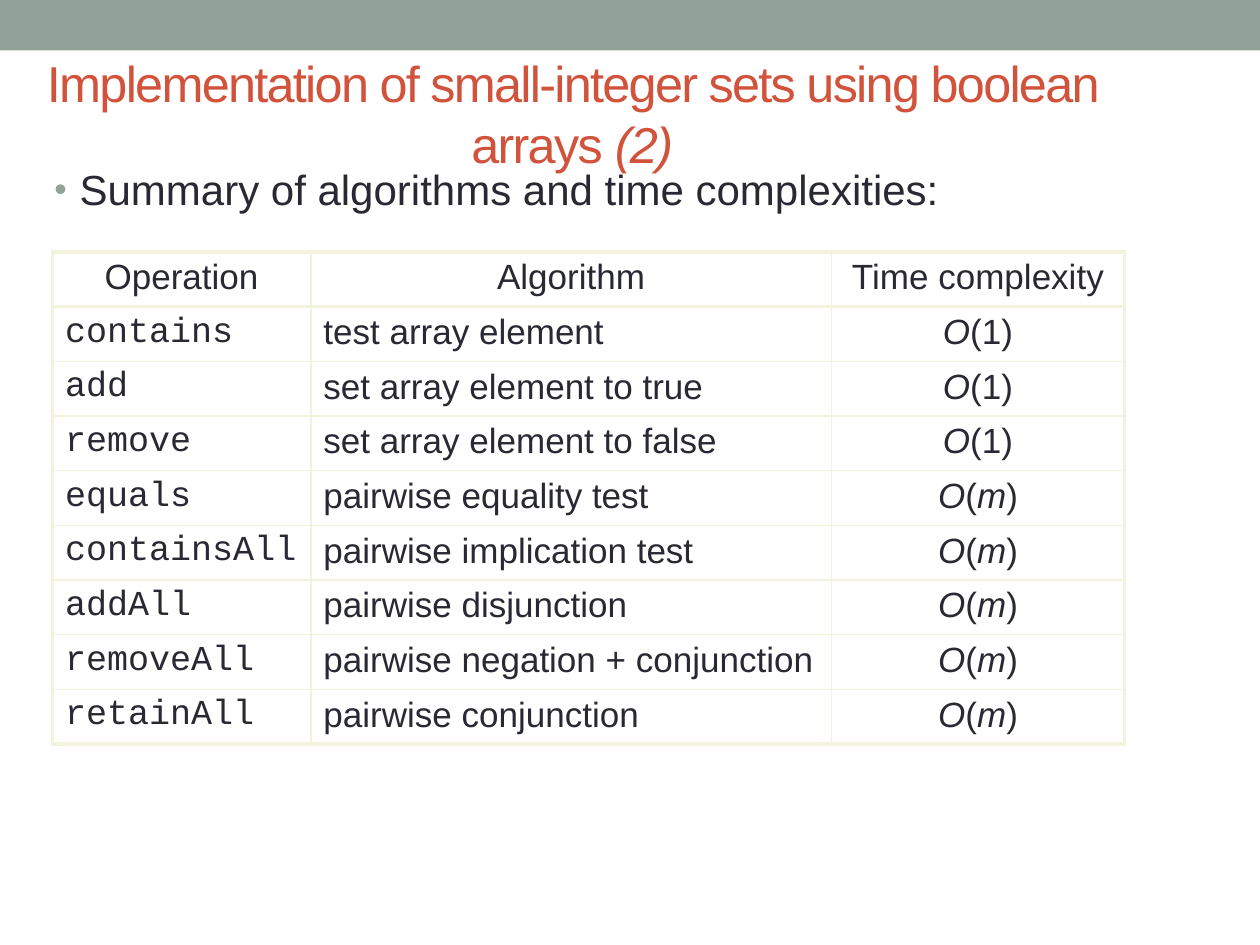
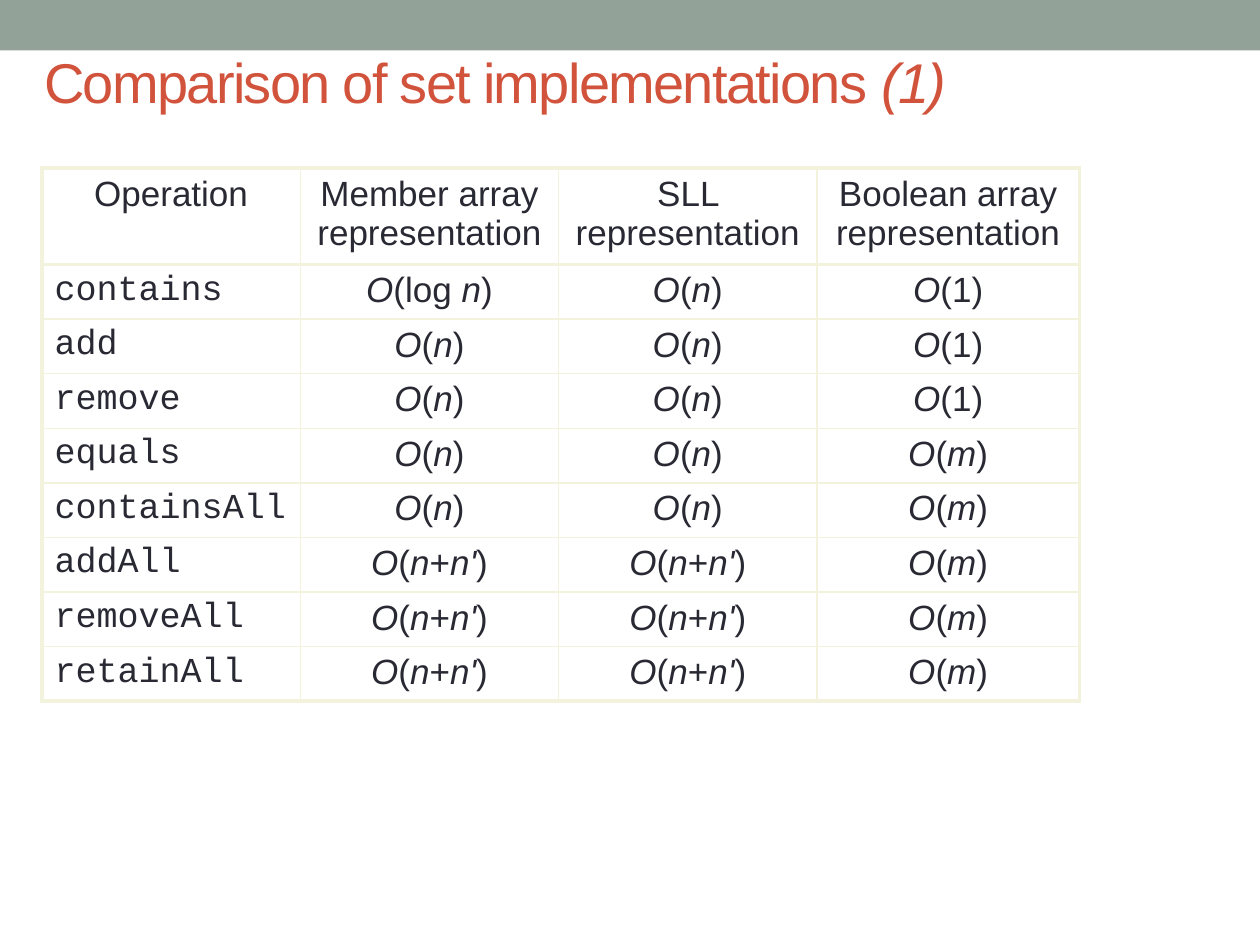
from dataclasses import dataclass

from lxml import etree
from pptx import Presentation, util as u
from pptx.dml.color import RGBColor
from pptx.enum import shapes, text
from pptx.oxml.ns import qn

SAGE = RGBColor(0x93, 0xA2, 0x99)
BRICK = RGBColor(0xD2, 0x53, 0x3C)
INK = RGBColor(0x29, 0x29, 0x34)
CREAM = RGBColor(0xF3, 0xF2, 0xDC)
WHITE = RGBColor(0xFF, 0xFF, 0xFF)

SANS, MONO = "Arial", "Courier New"
LEFT, CENTER = text.PP_ALIGN.LEFT, text.PP_ALIGN.CENTER
WIDTH, HEIGHT = u.Inches(10), u.Inches(7.5)
UNIT = WIDTH / 120  # the grid has 120 columns and 90 rows
THIN, THICK = u.Pt(1), u.Pt(2.25)
ROW_HEIGHT = 5.2
NAME_COLUMN = 24.6


@dataclass(frozen=True)
class Box:
    """A rectangle in grid units."""
    left: float
    top: float
    width: float
    height: float

    def emu(self) -> list[int]:
        """Return the rectangle in slide lengths."""
        return [grid(v) for v in (self.left, self.top, self.width, self.height)]


@dataclass(frozen=True)
class Style:
    """The look of a piece of text."""
    size: float
    color: RGBColor = INK
    font: str = SANS
    spacing: int = 0  # hundredths of a point


@dataclass(frozen=True)
class Title:
    """A slide title; asterisks enclose italics."""
    words: str
    box: Box
    size: float
    align: text.PP_ALIGN


@dataclass(frozen=True)
class Grid:
    """A table whose first row is a header; asterisks enclose italics."""
    left: float
    top: float
    columns: list[float]
    header_height: float
    rows: list[list[str]]
    aligns: list[text.PP_ALIGN]


def grid(units: float) -> int:
    """Convert grid units to a slide length."""
    return round(units * UNIT)


def add_runs(p, words: str, style: Style) -> None:
    """Add text run by run, switching italics at each asterisk."""
    for i, part in enumerate(words.split("*")):
        if not part:
            continue
        r = p.add_run()
        r.text = part
        r.font.name = style.font
        r.font.size = u.Pt(style.size)
        r.font.color.rgb = style.color
        r.font.italic = i % 2 == 1
        if style.spacing:
            r._r.get_or_add_rPr().set("spc", str(style.spacing))


def space_before(p, percent: int) -> None:
    """Set the space above a paragraph as a share of its line."""
    spacing = etree.SubElement(p._p.get_or_add_pPr(), qn("a:spcBef"))
    etree.SubElement(spacing, qn("a:spcPct")).set("val", str(percent * 1000))


def add_bullet(p) -> None:
    """Give a paragraph a hanging sage bullet."""
    pPr = p._p.get_or_add_pPr()
    indent = u.Inches(0.2)
    pPr.set("marL", str(indent))
    pPr.set("indent", str(-indent))
    color = etree.SubElement(pPr, qn("a:buClr"))
    etree.SubElement(color, qn("a:srgbClr")).set("val", str(SAGE))
    etree.SubElement(pPr, qn("a:buSzPct")).set("val", "85000")
    etree.SubElement(pPr, qn("a:buFont")).set("typeface", SANS)
    etree.SubElement(pPr, qn("a:buChar")).set("char", "•")


def add_titled_slide(prs, title: Title):
    """Add a slide with the top band and a formatted title."""
    s = prs.slides.add_slide(prs.slide_layouts[5])
    sp = s.shapes.title
    sp.left, sp.top, sp.width, sp.height = title.box.emu()
    tf = sp.text_frame
    tf.word_wrap = True
    tf.auto_size = text.MSO_AUTO_SIZE.NONE
    tf.vertical_anchor = text.MSO_ANCHOR.MIDDLE
    p = tf.paragraphs[0]
    p.alignment = title.align
    add_runs(p, title.words, Style(title.size, BRICK, spacing=-100))

    band = s.shapes.add_shape(shapes.MSO_SHAPE.RECTANGLE, *Box(0, 0, 120, 4.8).emu())
    band.shadow.inherit = False
    band.fill.solid()
    band.fill.fore_color.rgb = SAGE
    band.line.fill.background()
    sp.element.addprevious(band.element)
    return s


def add_bullet_text(s, words: str, box: Box) -> None:
    """Add a text box with one bulleted line."""
    tf = s.shapes.add_textbox(*box.emu()).text_frame
    tf.word_wrap = True
    p = tf.paragraphs[0]
    space_before(p, 20)
    add_bullet(p)
    add_runs(p, words, Style(24))


def set_borders(cell, row: int, col: int, last_row: int, last_col: int) -> None:
    """Draw thick lines round the table and below its header, thin ones inside."""
    tcPr = cell._tc.get_or_add_tcPr()
    thick = {"a:lnL": col == 0, "a:lnR": col == last_col,
             "a:lnT": row <= 1, "a:lnB": row in (0, last_row)}
    for tag, is_thick in thick.items():
        line = etree.SubElement(tcPr, qn(tag))
        line.set("w", str(THICK if is_thick else THIN))
        fill = etree.SubElement(line, qn("a:solidFill"))
        etree.SubElement(fill, qn("a:srgbClr")).set("val", str(CREAM))


def add_grid(s, g: Grid) -> None:
    """Add a table with a centred header and code names in the first column."""
    heights = [g.header_height] + [ROW_HEIGHT] * (len(g.rows) - 1)
    box = Box(g.left, g.top, sum(g.columns), sum(heights))
    table = s.shapes.add_table(len(heights), len(g.columns), *box.emu()).table
    table.first_row = table.horz_banding = False
    for column, width in zip(table.columns, g.columns):
        column.width = grid(width)
    for row, height in zip(table.rows, heights):
        row.height = grid(height)
    for i, words in enumerate(g.rows):
        for j, word in enumerate(words):
            cell = table.cell(i, j)
            set_borders(cell, i, j, len(heights) - 1, len(g.columns) - 1)
            cell.fill.solid()
            cell.fill.fore_color.rgb = WHITE
            p = cell.text_frame.paragraphs[0]
            p.alignment = g.aligns[j] if i else CENTER
            space_before(p, 50)
            add_runs(p, word, Style(20, font=MONO if i and j == 0 else SANS))


CONSTANT, LOG, LINEAR = "*O*(1)", "*O*(log *n*)", "*O*(*n*)"
BY_RANGE, BY_BOTH = "*O*(*m*)", "*O*(*n*+*n'*)"

# operation, boolean array algorithm, then time with member array, SLL, boolean array
OPERATIONS = [
    ("contains", "test array element", LOG, LINEAR, CONSTANT),
    ("add", "set array element to true", LINEAR, LINEAR, CONSTANT),
    ("remove", "set array element to false", LINEAR, LINEAR, CONSTANT),
    ("equals", "pairwise equality test", LINEAR, LINEAR, BY_RANGE),
    ("containsAll", "pairwise implication test", LINEAR, LINEAR, BY_RANGE),
    ("addAll", "pairwise disjunction", BY_BOTH, BY_BOTH, BY_RANGE),
    ("removeAll", "pairwise negation + conjunction", BY_BOTH, BY_BOTH, BY_RANGE),
    ("retainAll", "pairwise conjunction", BY_BOTH, BY_BOTH, BY_RANGE),
]


def build_summary(prs) -> None:
    """Build the slide on boolean array algorithms."""
    s = add_titled_slide(prs, Title(
        "Implementation of small-integer sets using boolean arrays *(2)*",
        Box(0, 6, 109, 9.5), 28.8, CENTER))
    add_bullet_text(s, "Summary of algorithms and time complexities:",
                    Box(4, 15, 94.5, 61))
    rows = [["Operation", "Algorithm", "Time complexity"]]
    rows += [[name, algorithm, time] for name, algorithm, _, _, time in OPERATIONS]
    add_grid(s, Grid(5, 24, [NAME_COLUMN, 49.6, 27.9], ROW_HEIGHT, rows,
                     [LEFT, LEFT, CENTER]))


def build_comparison(prs) -> None:
    """Build the slide comparing the three representations."""
    s = add_titled_slide(prs, Title(
        "Comparison of set implementations *(1)*", Box(3, 3, 96, 9.5), 32, LEFT))
    rows = [["Operation"] + [f"{kind} representation" for kind in
                             ("Member array", "SLL", "Boolean array")]]
    rows += [[name, *times] for name, _, *times in OPERATIONS]
    add_grid(s, Grid(4, 16, [NAME_COLUMN] * 3 + [25], 9.2, rows,
                     [LEFT] + [CENTER] * 3))


prs = Presentation()
prs.slide_width, prs.slide_height = WIDTH, HEIGHT
build_summary(prs)
build_comparison(prs)
prs.save("out.pptx")
